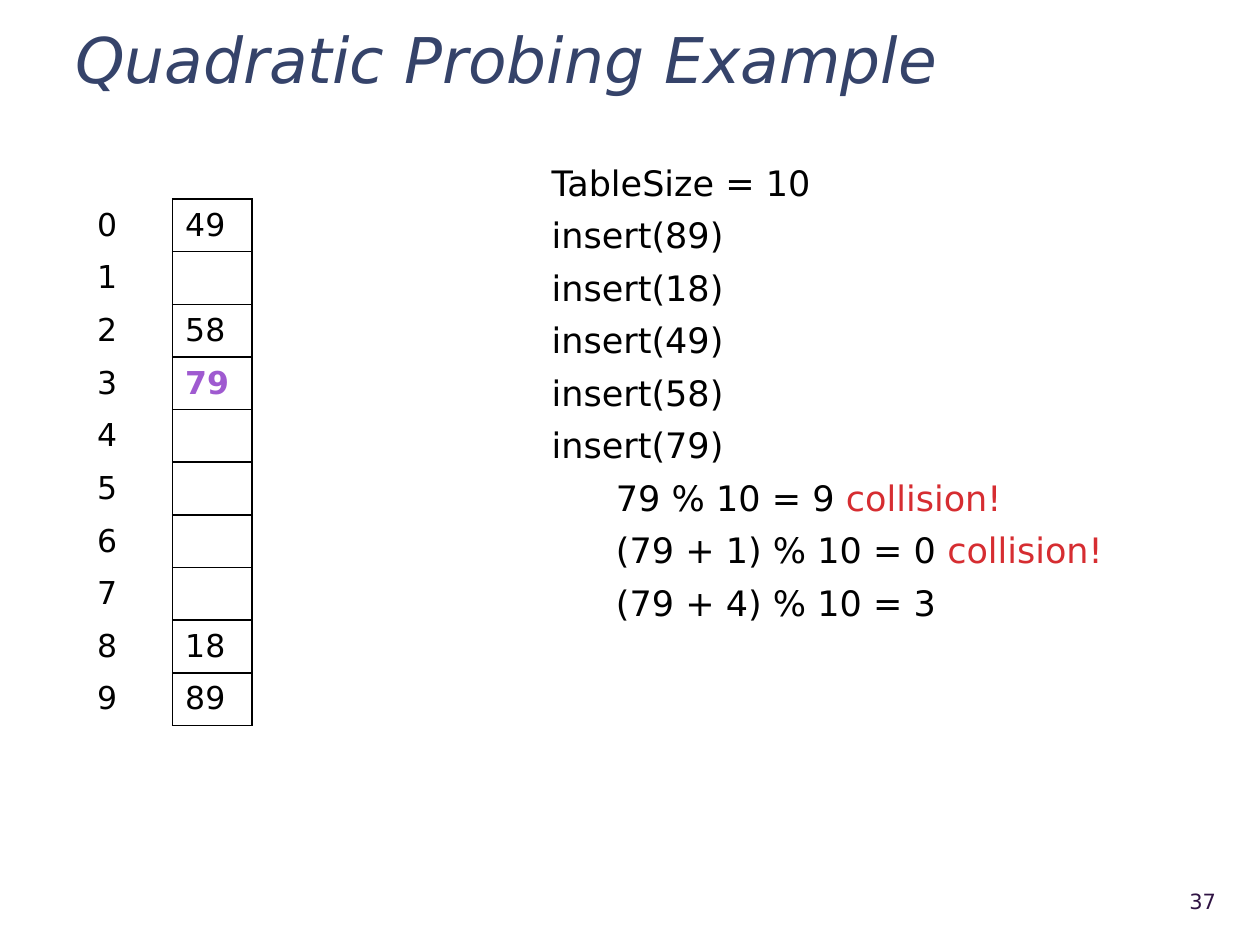
from lxml.etree import fromstring
from pptx import Presentation
from pptx.dml.color import RGBColor
from pptx.enum.text import MSO_ANCHOR, PP_ALIGN
from pptx.oxml.ns import nsdecls
from pptx.util import Inches, Pt

FONT = "DejaVu Sans"
BLACK, RED, PURPLE = "000000", "D62D31", "9F5AD0"

TITLE = "Quadratic Probing Example"
PAGE = "37"
SLOTS = ["49", "", "58", "79", "", "", "", "", "18", "89"]
NEW_SLOT = 3
# (indent level, step, remark in red)
STEPS = [
    (0, "TableSize = 10", ""),
    (0, "insert(89)", ""),
    (0, "insert(18)", ""),
    (0, "insert(49)", ""),
    (0, "insert(58)", ""),
    (0, "insert(79)", ""),
    (1, "79 % 10 = 9 ", "collision!"),
    (1, "(79 + 1) % 10 = 0 ", "collision!"),
    (1, "(79 + 4) % 10 = 3", ""),
]
COL_WIDTHS = (0.7, 0.63)
ROW_H = 0.418


def rgb(value):
    return RGBColor.from_string(value)


def style(font, size, color=BLACK):
    font.name, font.size = FONT, Pt(size)
    font.color.rgb = rgb(color)


def add_box(s, left, top, width, height, anchor=MSO_ANCHOR.MIDDLE):
    tf = s.shapes.add_textbox(*map(Inches, (left, top, width, height))).text_frame
    tf.word_wrap = True
    tf.vertical_anchor = anchor
    return tf


def add_borders(cell, sides):
    tcPr = cell._tc.get_or_add_tcPr()
    for i, side in enumerate(sides):
        tcPr.insert(i, fromstring(
            f'<a:ln{side} {nsdecls("a")} w="{Pt(1)}"><a:solidFill>'
            f'<a:srgbClr val="{BLACK}"/></a:solidFill></a:ln{side}>'))


prs = Presentation()
prs.slide_width, prs.slide_height = Inches(10), Inches(7.5)
s = prs.slides.add_slide(prs.slide_layouts[6])

# Title
p = add_box(s, 0.5, 0.17, 9.25, 0.53).paragraphs[0]
p.text = TITLE
p.line_spacing = 1.1
style(p.font, 36, "35436A")
p.font.italic = True

# Insertion steps
tf = add_box(s, 4.28, 1.23, 4.82, 3.8, MSO_ANCHOR.TOP)
for i, (level, step, remark) in enumerate(STEPS):
    p = tf.add_paragraph() if i else tf.paragraphs[0]
    if level:
        p._p.get_or_add_pPr().set("marL", str(Inches(0.51 * level)))
    if i:
        p.space_before = Pt(6)
    style(p.font, 20)
    p.add_run().text = step
    if remark:
        r = p.add_run()
        r.text = remark
        r.font.color.rgb = rgb(RED)

# Page number
p = add_box(s, 8.89, 6.95, 0.86, 0.4).paragraphs[0]
p.text = PAGE
p.alignment = PP_ALIGN.RIGHT
style(p.font, 12, "2F1343")

# Hash table: index column and bordered slots
table = s.shapes.add_table(
    len(SLOTS), 2, Inches(0.67), Inches(1.58),
    Inches(sum(COL_WIDTHS)), Inches(ROW_H * len(SLOTS))).table
table.first_row = table.horz_banding = False
for col, width in zip(table.columns, COL_WIDTHS):
    col.width = Inches(width)
for i, slot in enumerate(SLOTS):
    table.rows[i].height = Inches(ROW_H)
    for j, (text, sides) in enumerate([(str(i), "R"), (slot, "LRTB")]):
        cell = table.cell(i, j)
        cell.text = text
        cell.vertical_anchor = MSO_ANCHOR.MIDDLE
        cell.fill.background()
        add_borders(cell, sides)
        is_new = j == 1 and i == NEW_SLOT
        font = cell.text_frame.paragraphs[0].font
        style(font, 18, PURPLE if is_new else BLACK)
        font.bold = is_new

prs.save("out.pptx")
